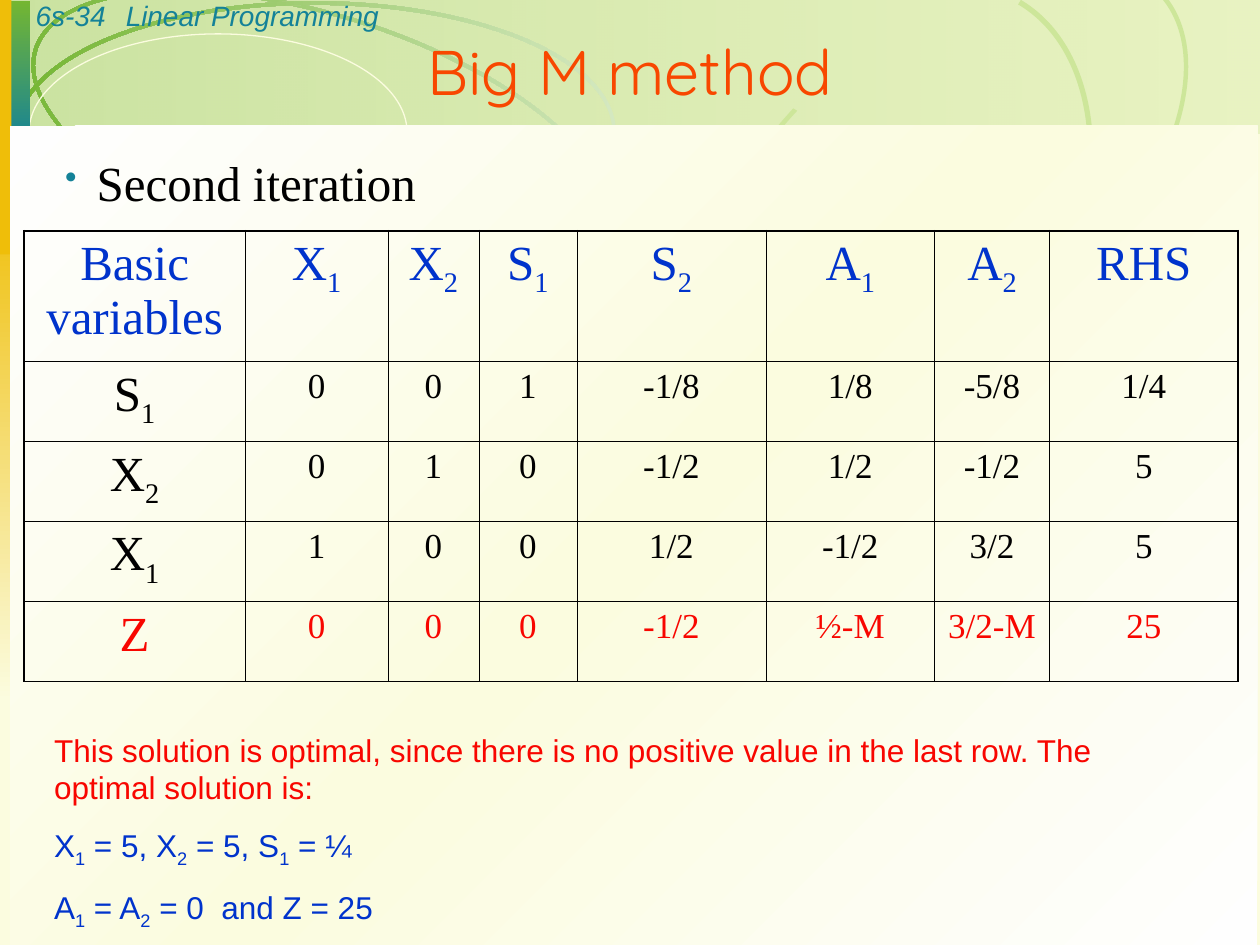
import pptx
import pptx.dml.color
import pptx.enum.shapes
import pptx.enum.text
import pptx.oxml
import pptx.oxml.ns
import pptx.util

Pt = pptx.util.Pt
SHAPES = pptx.enum.shapes.MSO_SHAPE
ALIGN = pptx.enum.text.PP_ALIGN
ANCHOR = pptx.enum.text.MSO_ANCHOR
NAMESPACE = pptx.oxml.ns.nsdecls("a")
qn = pptx.oxml.ns.qn

BLUE, RED, BLACK = "0033CC", "F80600", "000000"
TEAL, GREEN, GOLD, IVORY = "148298", "74B632", "EFBE09", "FBFCDF"
LIME, PALE, WHITE, ORANGE = "CDE69A", "D4E8C0", "FEFEFE", "F84700"

TITLE = {"name": "Quicksand", "size": Pt(36)}
RUNNING = {"name": "Arial", "size": Pt(16), "italic": True}
LARGE = {"name": "Times New Roman", "size": Pt(28)}
SMALL = {"name": "Times New Roman", "size": Pt(20)}
NOTE = {"name": "Arial", "size": Pt(18)}

COLUMNS = [126.5, 81.5, 52, 56, 108, 96.5, 65.5, 108]
ROWS = [74.5, 45.7, 45.7, 45.9, 45.9]
TABLEAU = [
    ["Basic variables", "X_1", "X_2", "S_1", "S_2", "A_1", "A_2", "RHS"],
    ["S_1", "0", "0", "1", "-1/8", "1/8", "-5/8", "1/4"],
    ["X_2", "0", "1", "0", "-1/2", "1/2", "-1/2", "5"],
    ["X_1", "1", "0", "0", "1/2", "-1/2", "3/2", "5"],
    ["Z", "0", "0", "0", "-1/2", "½-M", "3/2-M", "25"],
]
CONCLUSION = [
    ("This solution is optimal, since there is no positive value in the last row. "
     "The optimal solution is:", RED),
    ("X_1 = 5, X_2 = 5, S_1 = ¼", BLUE),
    ("A_1 = A_2 = 0  and Z = 25", BLUE),
]


def color(value):
    return pptx.dml.color.RGBColor.from_string(value)


def apply(target, values):
    for name, value in values.items():
        setattr(target, name, value)


def fill_gradient(shape, stops, angle):
    marks = "".join(
        f'<a:gs pos="{position * 1000}"><a:srgbClr val="{color(value)}">'
        f'<a:alpha val="{alpha * 1000}"/></a:srgbClr></a:gs>'
        for position, value, alpha in stops)
    gradient = pptx.oxml.parse_xml(
        f'<a:gradFill {NAMESPACE} rotWithShape="1"><a:gsLst>{marks}</a:gsLst>'
        f'<a:lin ang="{angle * 60000}" scaled="0"/></a:gradFill>')
    shape.fill.background()
    properties = shape._element.spPr
    properties.replace(properties.find(qn("a:noFill")), gradient)


def add_plain(slide, kind, box, fill=None):
    shape = slide.shapes.add_shape(kind, *(Pt(length) for length in box))
    shape.shadow.inherit = False
    shape.line.fill.background()
    if fill:
        shape.fill.solid()
        shape.fill.fore_color.rgb = color(fill)
    else:
        shape.fill.background()
    return shape


def add_arc(slide, box, rotation=0, flipped=False):
    shape = add_plain(slide, SHAPES.BLOCK_ARC, box, LIME)
    for index, value in enumerate([64.8, 0, 0.014]):
        shape.adjustments[index] = value
    shape.rotation = rotation
    if flipped:
        shape._element.spPr.find(qn("a:xfrm")).set("flipV", "1")
    return shape


def write(paragraph, text, font, ink, **layout):
    apply(paragraph, layout)
    first, *others = text.split("_")
    pieces = [(first, False)]
    for part in others:
        pieces += [(part[0], True), (part[1:], False)]
    for piece, lowered in pieces:
        if piece:
            run = paragraph.add_run()
            run.text = piece
            apply(run.font, font)
            run.font.color.rgb = color(ink)
            if lowered:
                run._r.get_or_add_rPr().set("baseline", "-25000")


def add_text(slide, box, lines, font, frame_values=None, **layout):
    shape = slide.shapes.add_textbox(*(Pt(length) for length in box))
    frame = shape.text_frame
    apply(frame, {"word_wrap": True, **(frame_values or {})})
    for index, (text, ink) in enumerate(lines):
        paragraph = frame.add_paragraph() if index else frame.paragraphs[0]
        write(paragraph, text, font, ink, **layout)
    return frame


def draw_header(slide, box):
    left, top, width, height = box
    band = add_plain(slide, SHAPES.RECTANGLE, box)
    fill_gradient(band, [(0, "BCDD7B", 29), (100, GREEN, 36)], 180)
    swoosh = [(0, PALE, 100), (100, GREEN, 100)]
    tilted = add_arc(slide, (left + 10.8, top + 7.9, 343.4, 143.3), 17.5)
    fill_gradient(tilted, swoosh, 162)
    ring = add_plain(slide, SHAPES.OVAL, (left + 15.9, top + 19.4, 216, 112.3))
    ring.line.color.rgb = color(IVORY)
    ring.line.width = Pt(0.75)
    add_arc(slide, (left + 364.3, top + 17.3, 343.4, 186.5), 318.2, True)
    add_arc(slide, (left + 323.3, top + 37.4, 343.4, 220.3), 300.7, True)
    level = add_arc(slide, (left + 7.9, top + 0.7, 343.4, 149), 0)
    fill_gradient(level, swoosh, 180)
    block = add_plain(slide, SHAPES.RECTANGLE, (left, top + 0.7, 16.6, 82.8))
    fill_gradient(block, [(0, GREEN, 100), (100, TEAL, 100)], 90)


def draw_page(slide, box):
    left, top, width, height = box
    fade = add_plain(slide, SHAPES.RECTANGLE, (left, top + 111.6, 15.8, 288.7))
    fill_gradient(fade, [(0, GOLD, 100), (100, IVORY, 100)], 90)
    add_plain(slide, SHAPES.RECTANGLE, (left, top, 6.5, 145.4), GOLD)
    panel = add_plain(slide, SHAPES.RECTANGLE, (left + 5.8, top + 72, width - 7.2, height - 72))
    fill_gradient(panel, [(0, WHITE, 100), (50, IVORY, 100), (100, WHITE, 100)], 225)


def draw_headings(slide, box):
    left, top, width, height = box
    add_text(slide, (left + 4.3, top - 4.3, 77.8, 26.6), [("6s-34", TEAL)], RUNNING,
             {"margin_left": Pt(16.1)}, space_before=Pt(10))
    add_text(slide, (left + 64.8, top - 4.3, 624.2, 26.6), [("Linear Programming", TEAL)],
             RUNNING, space_before=Pt(10))
    add_text(slide, (left, top + 4.3, width, 72), [("Big M method", ORANGE)], TITLE,
             {"vertical_anchor": ANCHOR.MIDDLE}, alignment=ALIGN.CENTER)


def draw_bullet(slide, box):
    frame = add_text(slide, box, [("Second iteration", BLACK)], LARGE, space_before=Pt(7))
    properties = frame.paragraphs[0]._p.get_or_add_pPr()
    apply_indent = {"marL": Pt(18), "indent": -Pt(18)}
    for name, value in apply_indent.items():
        properties.set(name, str(int(value)))
    for mark in (f'<a:buClr {NAMESPACE}><a:srgbClr val="{color(TEAL)}"/></a:buClr>',
                 f'<a:buSzPct {NAMESPACE} val="70000"/>',
                 f'<a:buChar {NAMESPACE} char="•"/>'):
        properties.append(pptx.oxml.parse_xml(mark))


def set_borders(cell, widths):
    properties = cell._tc.get_or_add_tcPr()
    for index, (side, width) in enumerate(widths.items()):
        properties.insert(index, pptx.oxml.parse_xml(
            f'<a:{side} {NAMESPACE} w="{int(Pt(width))}"><a:solidFill>'
            f'<a:srgbClr val="{color(BLACK)}"/></a:solidFill></a:{side}>'))


def draw_tableau(slide, left, top):
    box = (left, top, sum(COLUMNS), sum(ROWS))
    table = slide.shapes.add_table(
        len(ROWS), len(COLUMNS), *(Pt(length) for length in box)).table
    apply(table, {"first_row": False, "horz_banding": False})
    for column, width in zip(table.columns, COLUMNS):
        column.width = Pt(width)
    for row, height in zip(table.rows, ROWS):
        row.height = Pt(height)
    inks = [BLUE, BLACK, BLACK, BLACK, RED]
    thin, thick = 0.45, 1.08
    last_row, last_column = len(ROWS) - 1, len(COLUMNS) - 1
    for i, values in enumerate(TABLEAU):
        for j, text in enumerate(values):
            cell = table.cell(i, j)
            cell.fill.background()
            set_borders(cell, {
                "lnL": thin if j else thick,
                "lnR": thick if j == last_column else thin,
                "lnT": thin if i else thick,
                "lnB": thick if i == last_row else thin})
            label = i == 0 or j == 0
            write(cell.text_frame.paragraphs[0], text, LARGE if label else SMALL, inks[i],
                  alignment=ALIGN.CENTER, space_before=Pt(7 if label else 5))


def main():
    presentation = pptx.Presentation()
    apply(presentation, {"slide_width": Pt(720), "slide_height": Pt(540)})
    slide = presentation.slides.add_slide(presentation.slide_layouts[6])
    slide.background.fill.solid()
    slide.background.fill.fore_color.rgb = color(IVORY)
    draw_header(slide, (0.7, 0, 719.3, 76.3))
    draw_page(slide, (0, 0, 720, 540))
    draw_headings(slide, (0, 0, 720, 76.3))
    draw_bullet(slide, (30.2, 83.5, 337.7, 388.8))
    draw_tableau(slide, 13.7, 131.8)
    add_text(slide, (23.8, 414, 653.8, 122.4), CONCLUSION, NOTE, space_before=Pt(11.2))
    presentation.save("out.pptx")


if __name__ == "__main__":
    main()
